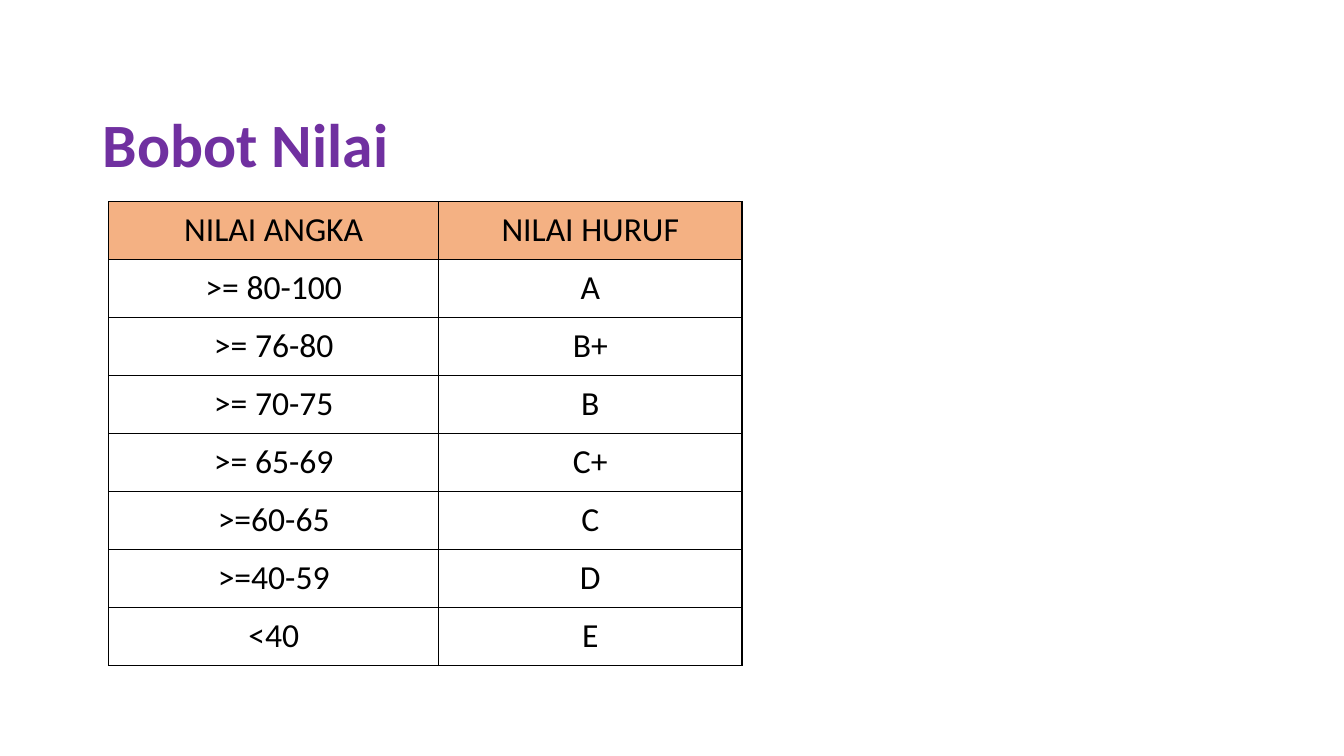
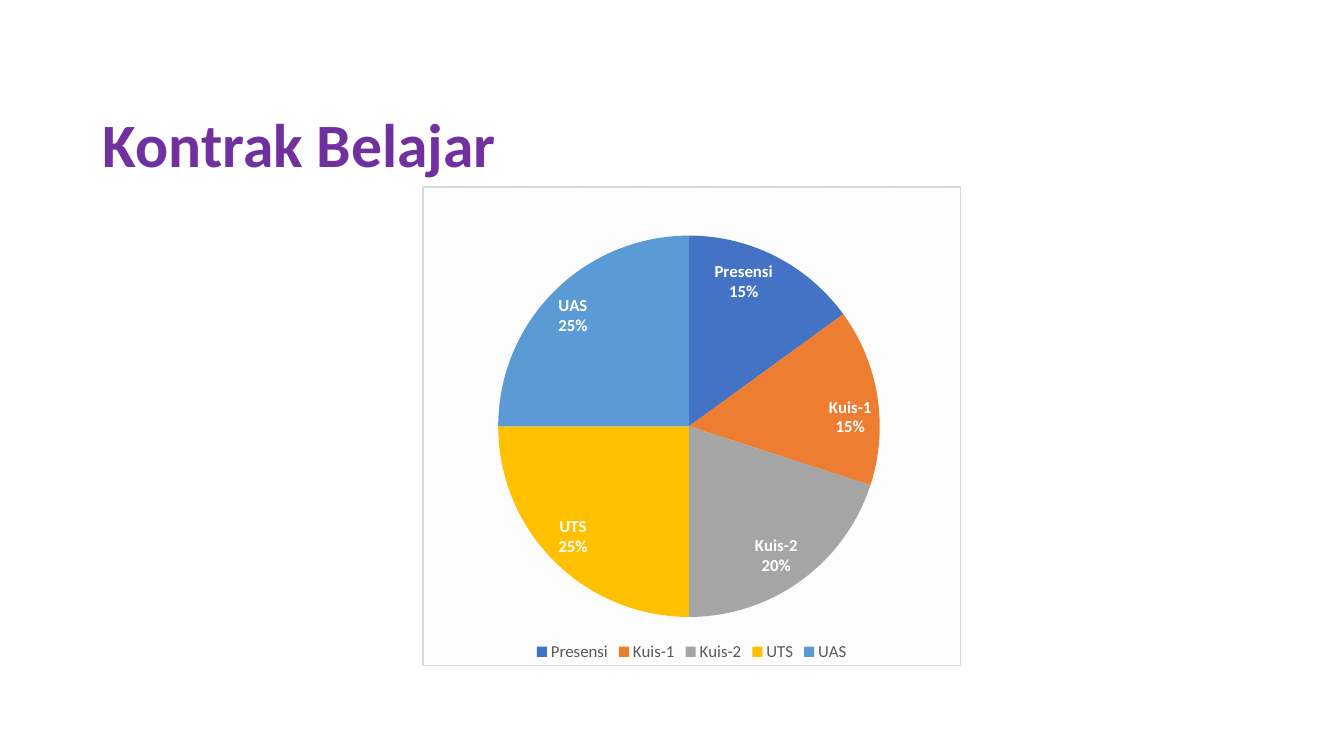
from pptx import Presentation
from pptx.chart.data import CategoryChartData
from pptx.dml.color import RGBColor
from pptx.enum.chart import XL_CHART_TYPE, XL_LABEL_POSITION, XL_LEGEND_POSITION
from pptx.enum.text import MSO_ANCHOR, PP_ALIGN
from pptx.oxml import parse_xml
from pptx.oxml.ns import nsdecls, qn
from pptx.util import Inches, Pt

FONT = "Calibri"
TITLE_ONLY = 5

presentation = Presentation()
presentation.slide_width = Inches(13.33)
presentation.slide_height = Inches(7.5)
layout = presentation.slide_layouts[TITLE_ONLY]


def style_font(font, size, color, bold=False):
    """Give a font the deck's typeface with a size, hex colour and weight."""
    values = {"name": FONT, "size": Pt(size), "bold": bold}
    for attribute, value in values.items():
        setattr(font, attribute, value)
    font.color.rgb = RGBColor.from_string(color)


def add_titled_slide(text):
    """Add a slide with the shared purple title and return it."""
    slide = presentation.slides.add_slide(layout)
    title = slide.shapes.title
    place = {"left": 0.92, "top": 1.07, "width": 11.5, "height": 0.78}
    for attribute, inches in place.items():
        setattr(title, attribute, Inches(inches))
    title.text_frame.text = text
    title.text_frame.vertical_anchor = MSO_ANCHOR.MIDDLE
    paragraph = title.text_frame.paragraphs[0]
    paragraph.alignment = PP_ALIGN.LEFT
    paragraph.line_spacing = 0.9
    style_font(paragraph.runs[0].font, 44, "7030A0", bold=True)
    return slide


# Grade table
grades = [
    ("NILAI ANGKA", "NILAI HURUF"),
    (">= 80-100", "A"),
    (">= 76-80", "B+"),
    (">= 70-75", "B"),
    (">= 65-69", "C+"),
    (">=60-65", "C"),
    (">=40-59", "D"),
    ("<40", "E"),
]
column_widths = [3.27, 3.01]
row_height = 0.575

slide = add_titled_slide("Bobot Nilai")
table = slide.shapes.add_table(
    len(grades), len(column_widths), Inches(1.08), Inches(2),
    Inches(sum(column_widths)), Inches(row_height * len(grades)),
).table
for column, width in zip(table.columns, column_widths):
    column.width = Inches(width)

for row_index, grade in enumerate(grades):
    for column_index, text in enumerate(grade):
        cell = table.cell(row_index, column_index)
        cell.text = text
        cell.vertical_anchor = MSO_ANCHOR.MIDDLE
        paragraph = cell.text_frame.paragraphs[0]
        paragraph.alignment = PP_ALIGN.CENTER
        style_font(paragraph.runs[0].font, 24, "000000")
        if row_index == 0:
            cell.fill.solid()
            cell.fill.fore_color.rgb = RGBColor.from_string("F4B183")
        else:
            cell.fill.background()
        properties = cell._tc.get_or_add_tcPr()
        for position, side in enumerate("LRTB"):
            properties.insert(position, parse_xml(
                f'<a:ln{side} {nsdecls("a")} w="{Pt(1)}"><a:solidFill>'
                f'<a:srgbClr val="000000"/></a:solidFill></a:ln{side}>'
            ))

# Assessment pie
assessment = {
    "Presensi": (15, "4472C4"),
    "Kuis-1": (15, "ED7D31"),
    "Kuis-2": (20, "A5A5A5"),
    "UTS": (25, "FFC000"),
    "UAS": (25, "5B9BD5"),
}
slide = add_titled_slide("Kontrak Belajar")
chart_data = CategoryChartData()
chart_data.categories = list(assessment)
chart_data.add_series("Series 1", [share for share, color in assessment.values()])
chart = slide.shapes.add_chart(
    XL_CHART_TYPE.PIE, Inches(4.19), Inches(1.85), Inches(5.34), Inches(4.76),
    chart_data,
).chart
chart.has_title = False
style_font(chart.font, 10, "000000")
chart.has_legend = True
chart.legend.position = XL_LEGEND_POSITION.BOTTOM
chart.legend.include_in_layout = False
style_font(chart.legend.font, 12, "595959")

plot = chart.plots[0]
plot.vary_by_categories = True
series = plot.series[0]
for index, (share, color) in enumerate(assessment.values()):
    fill = series.points[index].format.fill
    fill.solid()
    fill.fore_color.rgb = RGBColor.from_string(color)

labels = series.data_labels
label_settings = {
    "show_category_name": True,
    "show_percentage": True,
    "show_value": False,
    "number_format": "0%",
    "number_format_is_linked": False,
    "position": XL_LABEL_POSITION.INSIDE_END,
}
for attribute, value in label_settings.items():
    setattr(labels, attribute, value)
style_font(labels.font, 12, "FFFFFF", bold=True)
labels._element.find(qn("c:showPercent")).getnext().addnext(
    parse_xml(f'<c:separator {nsdecls("c")}>\n</c:separator>')
)

# Pie placement as shares of the chart, then its hatched background
plot_area = chart._chartSpace.chart.plotArea
for old_layout in plot_area.findall(qn("c:layout")):
    plot_area.remove(old_layout)
shares = {"x": 0.14, "y": 0.1, "w": 0.71, "h": 0.8}
sizes = "".join(f'<c:{name} val="{share}"/>' for name, share in shares.items())
plot_area.insert(0, parse_xml(
    f'<c:layout {nsdecls("c")}><c:manualLayout><c:layoutTarget val="inner"/>'
    f'<c:xMode val="edge"/><c:yMode val="edge"/>{sizes}'
    '</c:manualLayout></c:layout>'
))
chart._chartSpace.chart.addnext(parse_xml(
    f'<c:spPr {nsdecls("c", "a")}><a:pattFill prst="dkDnDiag">'
    '<a:fgClr><a:srgbClr val="F2F2F2"/></a:fgClr>'
    '<a:bgClr><a:srgbClr val="FFFFFF"/></a:bgClr></a:pattFill>'
    f'<a:ln w="{Pt(0.75)}"><a:solidFill><a:srgbClr val="D9D9D9"/>'
    '</a:solidFill></a:ln></c:spPr>'
))

presentation.save("out.pptx")
